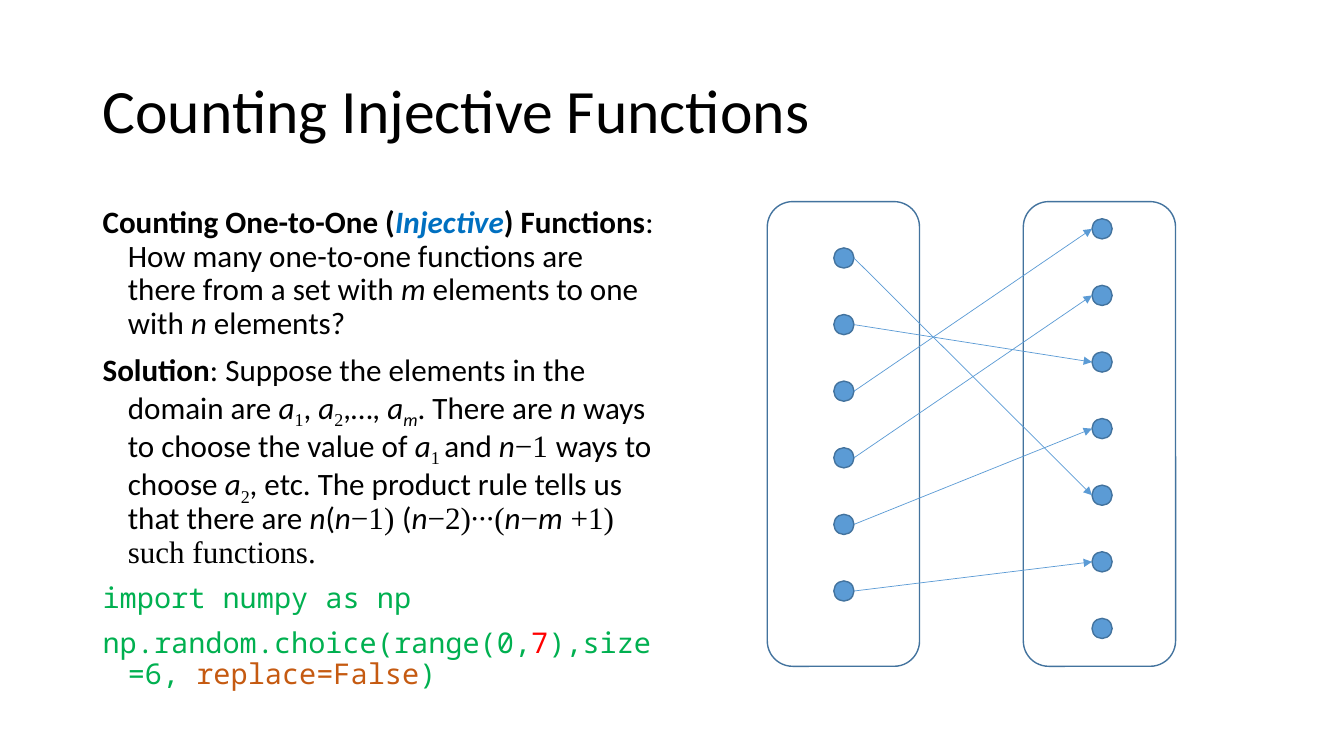
import pptx
import pptx.util
import pptx.dml.color
import pptx.enum.shapes
import pptx.enum.text
import pptx.oxml.ns
import lxml.etree

SHAPES = pptx.enum.shapes.MSO_SHAPE
ANCHOR = pptx.enum.text.MSO_ANCHOR
WIDTH, HEIGHT = pptx.util.Inches(13.33), pptx.util.Inches(7.5)

THEME = {
    "text": "000000", "term": "0070C0", "code": "00B050", "red": "FF0000",
    "flag": "C55A11", "dot": "5B9BD5", "edge": "43739E",
    "head": 44, "body": 22.2, "mono": 20.4, "rim": 1, "thin": 0.5,
}

# Run styles: font values, plus a colour key and a baseline shift
PLAIN = {"name": "Calibri", "size": "body", "color": "text"}
HEAD = {**PLAIN, "size": "head"}
BOLD = {**PLAIN, "bold": True}
TERM = {**BOLD, "italic": True, "color": "term"}
VAR = {**PLAIN, "italic": True}
MATH = {**PLAIN, "name": "Times New Roman"}
SUB = {**MATH, "shift": -25000}
VARSUB = {**VAR, "shift": -25000}
CODE = {"name": "Noto Sans Mono", "size": "mono", "color": "code"}
RED = {**CODE, "color": "red"}
FLAG = {**CODE, "color": "flag"}

TITLE = [[("Counting Injective Functions", HEAD)]]
BODY = [
    [("Counting One-to-One (", BOLD), ("Injective", TERM), (") Functions", BOLD),
     (": How many one-to-one functions are there from a set with ", PLAIN),
     ("m", VAR), (" elements to one with ", PLAIN), ("n", VAR),
     (" elements?", PLAIN)],
    [("Solution", BOLD), (": Suppose the elements in the domain are ", PLAIN),
     ("a", VAR), ("1", SUB), (", ", PLAIN), ("a", VAR), ("2", SUB),
     (",…, ", PLAIN), ("a", VAR), ("m", VARSUB), (". There are ", PLAIN),
     ("n", VAR), (" ways to choose the value of ", PLAIN),
     ("a", VAR), ("1 ", SUB), ("and ", PLAIN), ("n", VAR), ("−1 ", MATH),
     ("ways to choose ", PLAIN), ("a", VAR), ("2", SUB),
     (", etc. The product rule tells us that there are ", PLAIN),
     ("n", VAR), ("(", PLAIN), ("n", VAR), ("−1) ", MATH), ("(", PLAIN),
     ("n", VAR), ("−2)∙∙∙(", MATH), ("n", VAR), ("−", MATH), ("m", VAR),
     (" +1) such functions.", MATH)],
    [("import numpy as np", CODE)],
    [("np.random.choice(range(0,", CODE), ("7", RED), ("),size=6, ", CODE),
     ("replace=False", FLAG), (")", CODE)],
]

# Diagram grid, in percent of the slide's width (x) and height (y)
SETS = [57.09, 76.14]
LEFT, RIGHT = (62.79, 34.13, 6), (82, 30.27, 7)
PITCH = 8.81
DOT = 1.5
MAPS = [4, 2, 0, 1, 3, 5]


def across(share):
    return round(WIDTH * share / 100)


def down(share):
    return round(HEIGHT * share / 100)


def paint(color, key):
    color.rgb = pptx.dml.color.RGBColor.from_string(THEME[key])


def assign(target, values):
    for name, value in values.items():
        setattr(target, name, value)


def add_run(para, text, style):
    run = para.add_run()
    run.text = text
    font = {k: v for k, v in style.items() if k not in ("color", "shift")}
    assign(run.font, {**font, "size": pptx.util.Pt(THEME[style["size"]])})
    paint(run.font.color, style["color"])
    if "shift" in style:
        run.font._element.set("baseline", str(style["shift"]))


def add_text(slide, x, y, w, h, paras, anchor, hang=0):
    box = slide.shapes.add_textbox(across(x), down(y), across(w), down(h))
    frame = box.text_frame
    assign(frame, {"word_wrap": True, "vertical_anchor": anchor})
    for i, runs in enumerate(paras):
        para = frame.add_paragraph() if i else frame.paragraphs[0]
        gap = pptx.util.Pt(10 if i else 0)
        assign(para, {"line_spacing": 0.9, "space_before": gap})
        if hang:
            props = para._p.get_or_add_pPr()
            props.set("marL", str(pptx.util.Inches(hang)))
            props.set("indent", str(-pptx.util.Inches(hang)))
        for text, style in runs:
            add_run(para, text, style)


def add_form(slide, kind, x, y, w, h, fill=None):
    form = slide.shapes.add_shape(kind, x, y, w, h)
    form.shadow.inherit = False
    if fill:
        form.fill.solid()
        paint(form.fill.fore_color, fill)
    else:
        form.fill.background()
    paint(form.line.color, "edge")
    form.line.width = pptx.util.Pt(THEME["rim"])


def add_dots(slide, x, top, count):
    """Draw a column of dots and return their centres."""
    size = across(DOT)
    spots = [(across(x), down(top + i * PITCH)) for i in range(count)]
    for cx, cy in spots:
        add_form(slide, SHAPES.OVAL, cx - size // 2, cy - size // 2,
                 size, size, "dot")
    return spots


def add_arrow(slide, start, end):
    half = across(DOT) // 2
    arrow = slide.shapes.add_connector(
        pptx.enum.shapes.MSO_CONNECTOR.STRAIGHT,
        start[0] + half, start[1], end[0] - half, end[1])
    paint(arrow.line.color, "dot")
    arrow.line.width = pptx.util.Pt(THEME["thin"])
    qn = pptx.oxml.ns.qn
    tail = lxml.etree.SubElement(arrow.line._get_or_add_ln(), qn("a:tailEnd"))
    tail.set("type", "triangle")
    lxml.etree.SubElement(arrow._element.spPr, qn("a:effectLst"))


def main():
    deck = pptx.Presentation()
    assign(deck, {"slide_width": WIDTH, "slide_height": HEIGHT})
    slide = deck.slides.add_slide(deck.slide_layouts[6])

    # Title and body text
    add_text(slide, 6.9, 5.33, 86.27, 19.33, TITLE, ANCHOR.MIDDLE)
    add_text(slide, 6.9, 26.67, 42.53, 63.47, BODY, ANCHOR.TOP, 0.25)

    # Domain and codomain
    for x in SETS:
        add_form(slide, SHAPES.ROUNDED_RECTANGLE, across(x), down(26.67),
                 across(11.33), down(61.47))
    starts, ends = add_dots(slide, *LEFT), add_dots(slide, *RIGHT)

    # The injective map
    for start, goal in zip(starts, MAPS):
        add_arrow(slide, start, ends[goal])

    deck.save("out.pptx")


if __name__ == "__main__":
    main()
